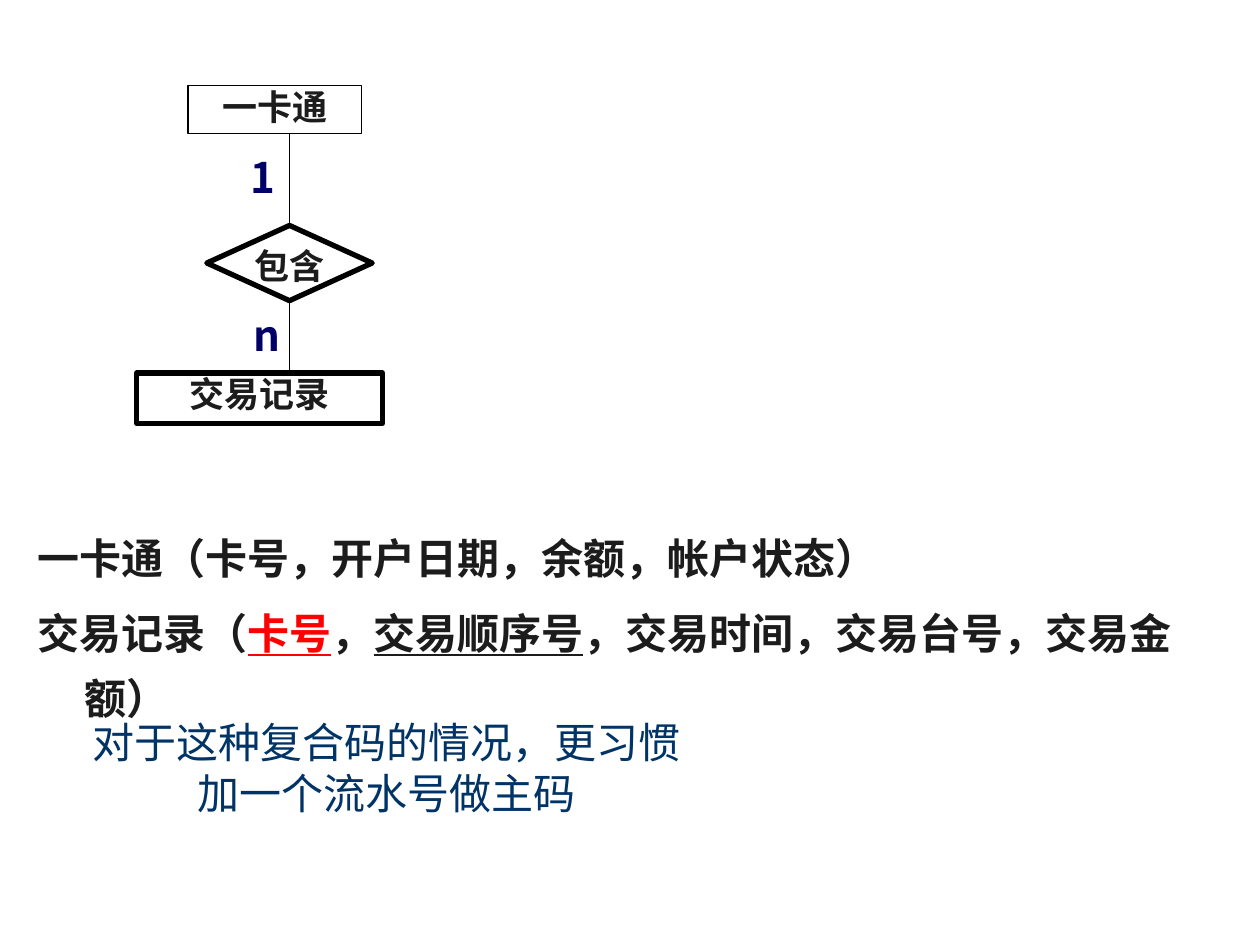
from lxml import etree
from pptx import Presentation
from pptx import util as u
from pptx.dml.color import RGBColor
from pptx.enum import shapes, text
from pptx.oxml import ns

CJK = "Noto Sans CJK SC"
INK, RED, NAVY, BLUE = "1C1C1C", "FF0000", "000066", "003366"
BLACK, WHITE = "000000", "FFFFFF"


def color(value):
    return RGBColor.from_string(value)


def add_run(paragraph, content, size, ink, font=CJK, bold=True, underline=None):
    run = paragraph.add_run()
    run.text = content
    run.font.size = u.Pt(size)
    run.font.bold = bold
    run.font.underline = underline
    run.font.color.rgb = color(ink)
    run.font.name = font
    east_asian = etree.SubElement(run.font._element, ns.qn("a:ea"))
    east_asian.set("typeface", font)


def add_box(slide, left, top, width, height, wrap=True):
    box = slide.shapes.add_textbox(u.Pt(left), u.Pt(top), u.Pt(width), u.Pt(height))
    box.text_frame.word_wrap = wrap
    return box.text_frame


def add_node(slide, kind, content, left, top, width, height, weight):
    shape = slide.shapes.add_shape(kind, u.Pt(left), u.Pt(top), u.Pt(width), u.Pt(height))
    shape.shadow.inherit = False
    shape.fill.solid()
    shape.fill.fore_color.rgb = color(WHITE)
    shape.line.color.rgb = color(BLACK)
    shape.line.width = u.Pt(weight)
    frame = shape.text_frame
    frame.margin_left = frame.margin_right = frame.margin_top = frame.margin_bottom = 0
    frame.vertical_anchor = text.MSO_ANCHOR.TOP
    frame.word_wrap = True
    paragraph = frame.paragraphs[0]
    paragraph.alignment = text.PP_ALIGN.CENTER
    add_run(paragraph, content, 20, INK)


def add_link(slide, x, top, bottom):
    line = slide.shapes.add_connector(
        shapes.MSO_CONNECTOR.STRAIGHT, u.Pt(x), u.Pt(top), u.Pt(x), u.Pt(bottom))
    line.line.color.rgb = color(BLACK)
    line.line.width = u.Pt(0.75)
    etree.SubElement(line._element.spPr, ns.qn("a:effectLst"))


def add_cardinality(slide, content, left, top):
    frame = add_box(slide, left, top, 30, 36.7, wrap=False)
    add_run(frame.paragraphs[0], content, 24, NAVY)


def add_relations(slide, relations):
    frame = add_box(slide, 14.4, 292.3, 694.8, 209.5)
    for index, relation in enumerate(relations):
        paragraph = frame.add_paragraph() if index else frame.paragraphs[0]
        paragraph.line_spacing = 1.3
        paragraph.space_before = u.Pt(5 if index else 0)
        properties = paragraph._p.get_or_add_pPr()
        properties.set("marL", str(u.Pt(27)))
        properties.set("indent", str(u.Pt(-27)))
        for content, ink, underline in relation:
            add_run(paragraph, content, 24, ink, underline=underline)


def add_remark(slide, content):
    paragraph = add_box(slide, 42.5, 406.1, 357.1, 65.5).paragraphs[0]
    paragraph.alignment = text.PP_ALIGN.CENTER
    add_run(paragraph, content, 24, BLUE, font="Roboto", bold=False)


def main():
    presentation = Presentation()
    presentation.slide_width, presentation.slide_height = u.Pt(720), u.Pt(540)
    slide = presentation.slides.add_slide(presentation.slide_layouts[6])

    add_relations(slide, [
        [("一卡通（卡号，开户日期，余额，帐户状态）", INK, None)],
        [("交易记录（", INK, None), ("卡号", RED, True), ("，", INK, None),
         ("交易顺序号", INK, True), ("，交易时间，交易台号，交易金额）", INK, None)],
    ])

    rectangle, diamond = shapes.MSO_SHAPE.RECTANGLE, shapes.MSO_SHAPE.DIAMOND
    add_node(slide, rectangle, "一卡通", 107.5, 48.8, 99.2, 27.4, 0.75)
    add_node(slide, rectangle, "交易记录", 78.2, 213.1, 140.4, 28.8, 3)
    add_node(slide, diamond, "包含", 118.2, 128.8, 94.5, 43, 3)
    add_link(slide, 165.5, 76.2, 128.8)
    add_link(slide, 165.5, 171.8, 213.1)
    add_cardinality(slide, "n", 137.7, 173.5)
    add_cardinality(slide, "1", 136.1, 82.8)

    add_remark(slide, "对于这种复合码的情况，更习惯加一个流水号做主码")
    presentation.save("out.pptx")


if __name__ == "__main__":
    main()
